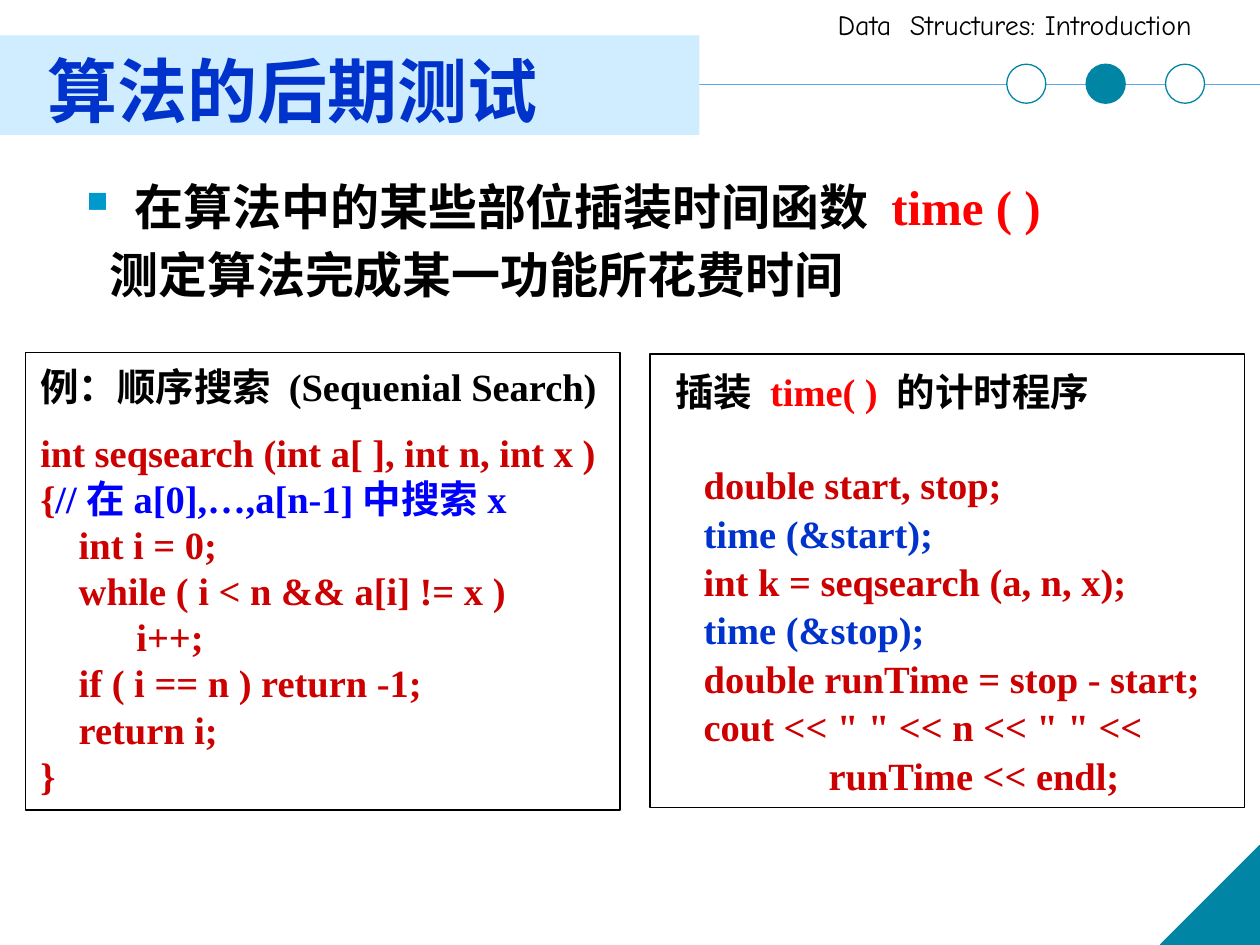
from lxml.etree import SubElement
from pptx import Presentation
from pptx.dml.color import RGBColor
from pptx.enum.shapes import MSO_CONNECTOR, MSO_SHAPE
from pptx.enum.text import MSO_ANCHOR, PP_ALIGN
from pptx.oxml.ns import qn
from pptx.util import Inches, Pt

THEME = {
    "black": "000000", "white": "FFFFFF", "teal": "0085A4", "band": "CFEDFE",
    "rule": "5AAAED", "title": "0033CC", "bullet": "0099CC", "code": "CC0000",
    "comment": "0000FF", "call": "0033CC", "red": "FF0000",
    "latin": "Times New Roman", "cjk": "Noto Sans CJK SC", "header": "Comic Neue",
    "header_size": 16, "title_size": 40, "body_size": 28, "code_size": 22,
}
WIDTH, HEIGHT = 10, 7.5

# Content: a paragraph is (runs, paragraph format); a run is (text, colour)
HEADER = [([("Data  Structures: Introduction", "black")], {})]
TITLE = [([("算法的后期测试", "title")], {})]
BODY = [
    ([("在算法中的某些部位插装时间函数 ", "black"), ("time ( )", "red")],
     {"line_spacing": Pt(36.5), "bullet": "■", "margin": 0.38, "indent": -0.38}),
    ([("测定算法完成某一功能所花费时间", "black")],
     {"line_spacing": Pt(36.5), "space_before": Pt(2.4), "margin": 0.18}),
]
SEARCH_HEADING = [("例：顺序搜索 (Sequenial Search)", "black")]
SEARCH_CODE = [
    [("int seqsearch (int a[ ], int n, int x )", "code")],
    [("{", "code"), ("//在a[0],…,a[n-1]中搜索x", "comment")],
    [("    int i = 0;", "code")],
    [("    while ( i < n && a[i] != x )", "code")],
    [("          i++;", "code")],
    [("    if ( i == n ) return -1;", "code")],
    [("    return i;", "code")],
    [("}", "code")],
]
TIMING_HEADING = [("插装 ", "black"), ("time( ) ", "red"), ("的计时程序", "black")]
TIMING_CODE = [
    [("    double start, stop;", "code")],
    [("    time (&start);", "call")],
    [("    int k = seqsearch (a, n, x);", "code")],
    [("    time (&stop);", "call")],
    [("    double runTime = stop - start;", "code")],
    [('    cout << " " << n << " " <<', "code")],
    [(" " * 17 + "runTime << endl;", "code")],
]
# Panels: heading, code, top, height, heading format, code pitch, gap before code
PANELS = [
    (SEARCH_HEADING, SEARCH_CODE, 2.8, 3.63, {"line_spacing": Pt(28)}, 26.4, 11),
    (TIMING_HEADING, TIMING_CODE, 2.81, 3.6,
     {"line_spacing": Pt(30), "margin": 0.08}, 27.7, 25.6),
]
PANEL_LEFT, PANEL_WIDTH, PANEL_GAP = 0.2, 4.72, 0.24
DOT_FILLS = ["white", "teal", "white"]
DOT_LEFT, DOT_TOP, DOT_SIZE, DOT_PITCH = 7.99, 0.51, 0.31, 0.63


def color(name):
    return RGBColor.from_string(THEME[name])


def apply(target, values):
    for name, value in values.items():
        setattr(target, name, value)


def add_block(slide, kind, box, fill=None, line=None):
    shape = slide.shapes.add_shape(kind, *map(Inches, box))
    shape.shadow.inherit = False
    if fill:
        shape.fill.solid()
        shape.fill.fore_color.rgb = color(fill)
    else:
        shape.fill.background()
    if line:
        shape.line.color.rgb = color(line)
        shape.line.width = Pt(0.75)
    else:
        shape.line.fill.background()
    return shape


def set_indent(paragraph, options):
    properties = paragraph._p.get_or_add_pPr()
    properties.set("marL", str(Inches(options.pop("margin", 0))))
    properties.set("indent", str(Inches(options.pop("indent", 0))))
    bullet = options.pop("bullet", None)
    if bullet:
        tint = SubElement(properties, qn("a:buClr"))
        SubElement(tint, qn("a:srgbClr"), val=THEME["bullet"])
        SubElement(properties, qn("a:buSzPct"), val="60000")
        SubElement(properties, qn("a:buChar"), char=bullet)


def write(shape, paragraphs, size, face="latin", bold=True,
          insets=(0.1, 0.05, 0.1, 0.05), anchor=MSO_ANCHOR.TOP):
    frame = shape.text_frame
    sides = ("margin_left", "margin_top", "margin_right", "margin_bottom")
    apply(frame, dict(zip(sides, map(Inches, insets))))
    apply(frame, {"word_wrap": True, "vertical_anchor": anchor})
    for index, (runs, layout) in enumerate(paragraphs):
        paragraph = frame.add_paragraph() if index else frame.paragraphs[0]
        options = dict(layout)
        set_indent(paragraph, options)
        apply(paragraph, {"alignment": PP_ALIGN.LEFT, **options})
        for text, tint in runs:
            run = paragraph.add_run()
            run.text = text
            apply(run.font, {"name": THEME[face], "size": Pt(THEME[size]), "bold": bold})
            run.font.color.rgb = color(tint)
            SubElement(run.font._element, qn("a:ea"), typeface=THEME["cjk"])


def add_text(slide, box, *content, **options):
    write(slide.shapes.add_textbox(*map(Inches, box)), *content, **options)


def add_frame(slide):
    # Rule across the slide, corner triangle and title band
    rule = slide.shapes.add_connector(
        MSO_CONNECTOR.STRAIGHT, 0, Inches(0.67), Inches(WIDTH), Inches(0.67))
    rule.line.color.rgb = color("rule")
    rule.line.width = Pt(1)
    SubElement(rule._element.spPr, qn("a:effectLst"))
    corner = 0.79
    triangle = add_block(slide, MSO_SHAPE.RIGHT_TRIANGLE,
                         (WIDTH - corner, HEIGHT - corner, corner, corner), "teal", "teal")
    triangle._element.spPr.get_or_add_xfrm().set("flipH", "1")
    add_text(slide, (6.55, 0.01, 3.45, 0.37), HEADER, "header_size",
             face="header", bold=False)
    add_block(slide, MSO_SHAPE.RECTANGLE, (0, 0.28, 5.55, 0.79), "band")


def add_panels(slide):
    for column, (heading, code, top, height, layout, pitch, gap) in enumerate(PANELS):
        left = PANEL_LEFT + column * (PANEL_WIDTH + PANEL_GAP)
        panel = add_block(slide, MSO_SHAPE.RECTANGLE,
                          (left, top, PANEL_WIDTH, height), line="black")
        paragraphs = [(heading, layout)]
        for row, runs in enumerate(code):
            space = gap if row == 0 else 0
            paragraphs.append((runs, {"line_spacing": Pt(pitch), "space_before": Pt(space)}))
        write(panel, paragraphs, "code_size", insets=(0.12, 0.06, 0.12, 0.06))


def main():
    presentation = Presentation()
    apply(presentation, {"slide_width": Inches(WIDTH), "slide_height": Inches(HEIGHT)})
    slide = presentation.slides.add_slide(presentation.slide_layouts[6])
    add_frame(slide)
    # Title and body
    add_text(slide, (0.28, 0.33, 4.75, 0.72), TITLE, "title_size", face="cjk",
             insets=(0.1, 0.05, 0.1, 0.01), anchor=MSO_ANCHOR.BOTTOM)
    add_text(slide, (0.59, 1.31, 8.74, 1.1), BODY, "body_size")
    # Dots on the rule
    for index, fill in enumerate(DOT_FILLS):
        add_block(slide, MSO_SHAPE.OVAL,
                  (DOT_LEFT + index * DOT_PITCH, DOT_TOP, DOT_SIZE, DOT_SIZE), fill, "teal")
    add_panels(slide)
    presentation.save("out.pptx")


if __name__ == "__main__":
    main()
